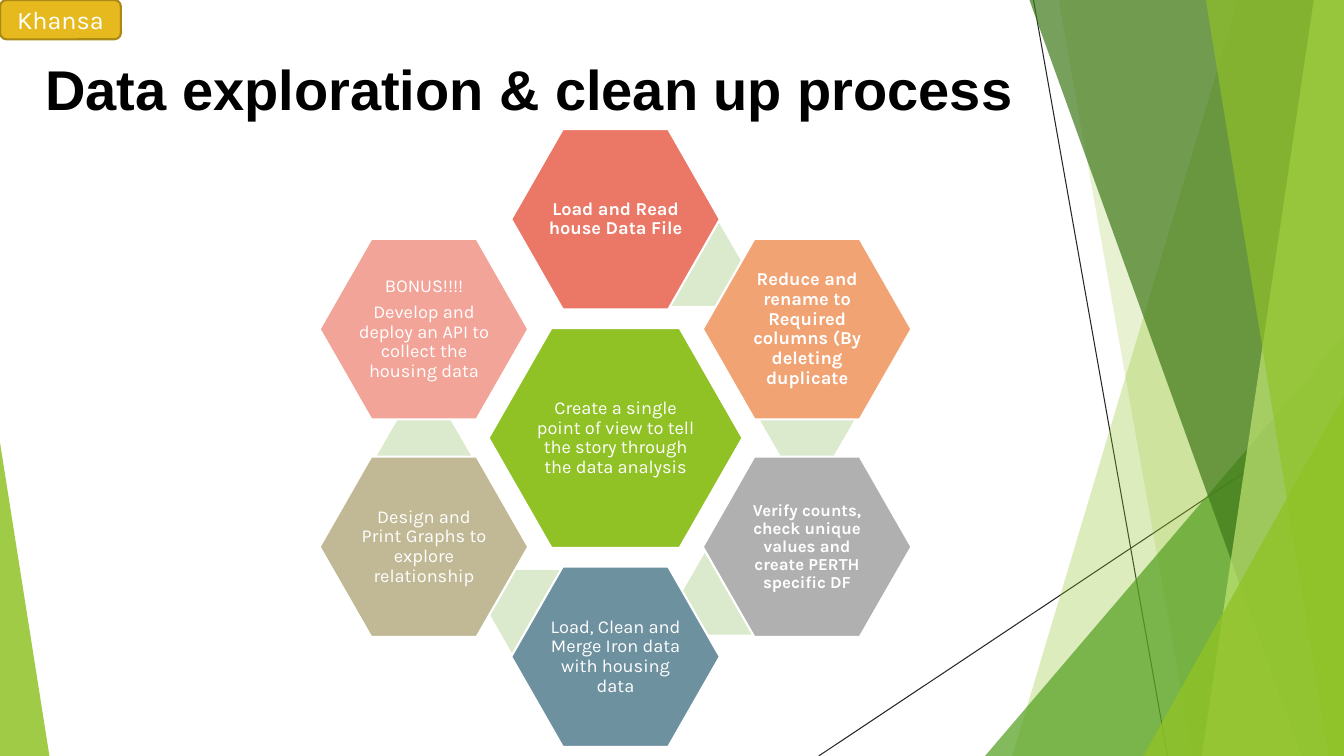
from lxml import etree
from pptx import Presentation
from pptx import util as u
from pptx.dml.color import RGBColor
from pptx.enum import shapes, text
from pptx.oxml.ns import qn

HUES = {
    "lime": "90C226", "green": "54A021", "forest": "3F7819", "pale": "C0E474",
    "line": "262626", "black": "000000", "white": "FFFFFF", "bond": "DBE9CD",
    "coral": "EB7766", "orange": "F1A374", "gray": "B0B0B0", "steel": "6E91A0",
    "sand": "C1B995", "pink": "F2A499", "gold": "E6B91E", "rim": "AA8916",
}
KIND = shapes.MSO_SHAPE
WIDE, HIGH = 13.33, 7.5

# Sheets: top and bottom distance from the right edge. Wedges: width and height.
FAN = [
    ("sheet", 1.05, 3.29, "lime", 30),
    ("sheet", 2.83, 1.5, "lime", 20),
    ("wedge", 3.56, 4.17, "green", 72),
    ("sheet", 3.12, 0.42, "forest", 70),
    ("sheet", 0.3, 1.41, "pale", 70),
    ("sheet", 1.37, 0.15, "lime", 65),
    ("wedge", 1.99, 3.57, "lime", 80),
]

# Offset from the hub, offset of the bond beneath, colour, size, bold, text
STEPS = [
    ((0, -2.17), (0.79, -1.72), "coral", 13, True,
     "Load and Read house Data File"),
    ((1.9, -1.08), (1.9, -0.19), "orange", 13, True,
     "Reduce and rename to Required columns (By deleting duplicate"),
    ((1.9, 1.08), (1.13, 1.54), "gray", 12, True,
     "Verify counts, check unique values and create PERTH specific DF"),
    ((0, 2.17), (-0.79, 1.72), "steel", 13, False,
     "Load, Clean and Merge Iron data with housing data"),
    ((-1.9, 1.08), (-1.9, 0.19), "sand", 13, False,
     "Design and Print Graphs to explore relationship"),
    ((-1.9, -1.08), None, "pink", 13, False,
     "BONUS!!!!\nDevelop and deploy an API to collect the housing data"),
]


def hue(name):
    return RGBColor.from_string(HUES[name])


def paint(shape, fill, alpha=100, rim=None):
    """Fill a shape; alpha is its opacity in percent, rim its line colour."""
    shape.shadow.inherit = False
    shape.fill.solid()
    shape.fill.fore_color.rgb = hue(fill)
    if alpha < 100:
        tint = shape.fill._xPr.find(qn("a:solidFill"))[0]
        etree.SubElement(tint, qn("a:alpha")).set("val", str(alpha * 1000))
    if rim:
        shape.line.color.rgb = hue(rim)
        shape.line.width = u.Pt(1.5)
    else:
        shape.line.fill.background()


def block(slide, kind, left, top, width, height):
    return slide.shapes.add_shape(kind, *map(u.Inches, (left, top, width, height)))


def style(para, size, font, color, bold=False):
    for run in para.runs:
        run.font.size = u.Pt(size)
        run.font.name = font
        run.font.bold = bold
        run.font.color.rgb = hue(color)


def rule(slide, *ends):
    line = slide.shapes.add_connector(
        shapes.MSO_CONNECTOR.STRAIGHT, *map(u.Inches, ends))
    line.line.color.rgb = hue("line")
    line.line.width = u.Pt(0.75)
    etree.SubElement(line._element.spPr, qn("a:effectLst"))


def wedge(slide, left, top, width, height, apex, fill, alpha):
    shape = block(slide, KIND.ISOSCELES_TRIANGLE, left, top, width, height)
    shape.adjustments[0] = apex
    paint(shape, fill, alpha)


def fan(slide, right, top, height):
    """Draw the overlapping sheets along the right edge."""
    base = top + height
    rule(slide, right - 3.08, top, right - 1.75, base)
    rule(slide, right, top + 4.03, right - 5.21, base)
    for kind, a, b, fill, alpha in FAN:
        if kind == "wedge":
            wedge(slide, right - a, base - b, a, b, 1, fill, alpha)
            continue
        spots = [(right - a, top), (right, top), (right, base), (right - b, base)]
        first, *rest = [(u.Inches(x), u.Inches(y)) for x, y in spots]
        pen = slide.shapes.build_freeform(*first)
        pen.add_line_segments(rest, close=True)
        paint(pen.convert_to_shape(), fill, alpha)


def title(slide, left, top, width, height):
    box = slide.shapes.title
    box.left, box.top, box.width, box.height = map(
        u.Inches, (left, top, width, height))
    frame = box.text_frame
    frame.text = "Data exploration & clean up process"
    frame.word_wrap = True
    frame.auto_size = text.MSO_AUTO_SIZE.NONE
    frame.vertical_anchor = text.MSO_ANCHOR.TOP
    frame.paragraphs[0].alignment = text.PP_ALIGN.LEFT
    style(frame.paragraphs[0], 40, "Arial", "black", True)


def cell(slide, mid, size, fill, adj=0.286, rim="white"):
    """Draw a hexagon centred on mid."""
    (x, y), (width, height) = mid, size
    shape = block(slide, KIND.HEXAGON, x - width / 2, y - height / 2, width, height)
    shape.adjustments[0] = adj
    paint(shape, fill, rim=rim)
    return shape


def label(shape, words, size, bold=False):
    frame = shape.text_frame
    frame.text = words
    frame.word_wrap = True
    frame.vertical_anchor = text.MSO_ANCHOR.MIDDLE
    frame.margin_left = frame.margin_right = u.Inches(0.02)
    frame.margin_top = frame.margin_bottom = u.Inches(0.02)
    for para in frame.paragraphs:
        para.alignment = text.PP_ALIGN.CENTER
        para.line_spacing = 0.9
        para.space_after = u.Pt(size * 0.35)
        style(para, size, "Karla", "white", bold)


def ring(slide, left, top, width, height):
    """Draw the hub and the six steps around the middle of the box."""
    x, y = left + width / 2, top + height / 2
    hub = cell(slide, (x, y), (2.52, 2.18), "lime")
    label(hub, "Create a single point of view to tell the story "
               "through the data analysis", 13)
    for (dx, dy), bond, fill, size, bold, words in STEPS:
        if bond:
            cell(slide, (x + bond[0], y + bond[1]), (0.95, 0.82), "bond", 0.289, None)
        step = cell(slide, (x + dx, y + dy), (2.07, 1.79), fill)
        label(step, words, size, bold)


def badge(slide, left, top, width, height):
    shape = block(slide, KIND.ROUNDED_RECTANGLE, left, top, width, height)
    paint(shape, "gold", rim="rim")
    frame = shape.text_frame
    frame.text = "Khansa"
    frame.vertical_anchor = text.MSO_ANCHOR.MIDDLE
    frame.paragraphs[0].alignment = text.PP_ALIGN.CENTER
    style(frame.paragraphs[0], 18, "Karla", "white")


def main():
    deck = Presentation()
    deck.slide_width, deck.slide_height = u.Inches(WIDE), u.Inches(HIGH)
    slide = deck.slides.add_slide(deck.slide_layouts[5])
    slide.background.fill.solid()
    slide.background.fill.fore_color.rgb = hue("white")
    fan(slide, WIDE, 0, HIGH)
    wedge(slide, 0, HIGH - 3.11, 0.49, 3.11, 0, "lime", 85)
    title(slide, 0.35, 0.49, 11.54, 0.77)
    ring(slide, 3.17, 1.28, 5.87, 6.13)
    badge(slide, 0, 0, 1.2, 0.39)
    deck.save("out.pptx")


if __name__ == "__main__":
    main()
